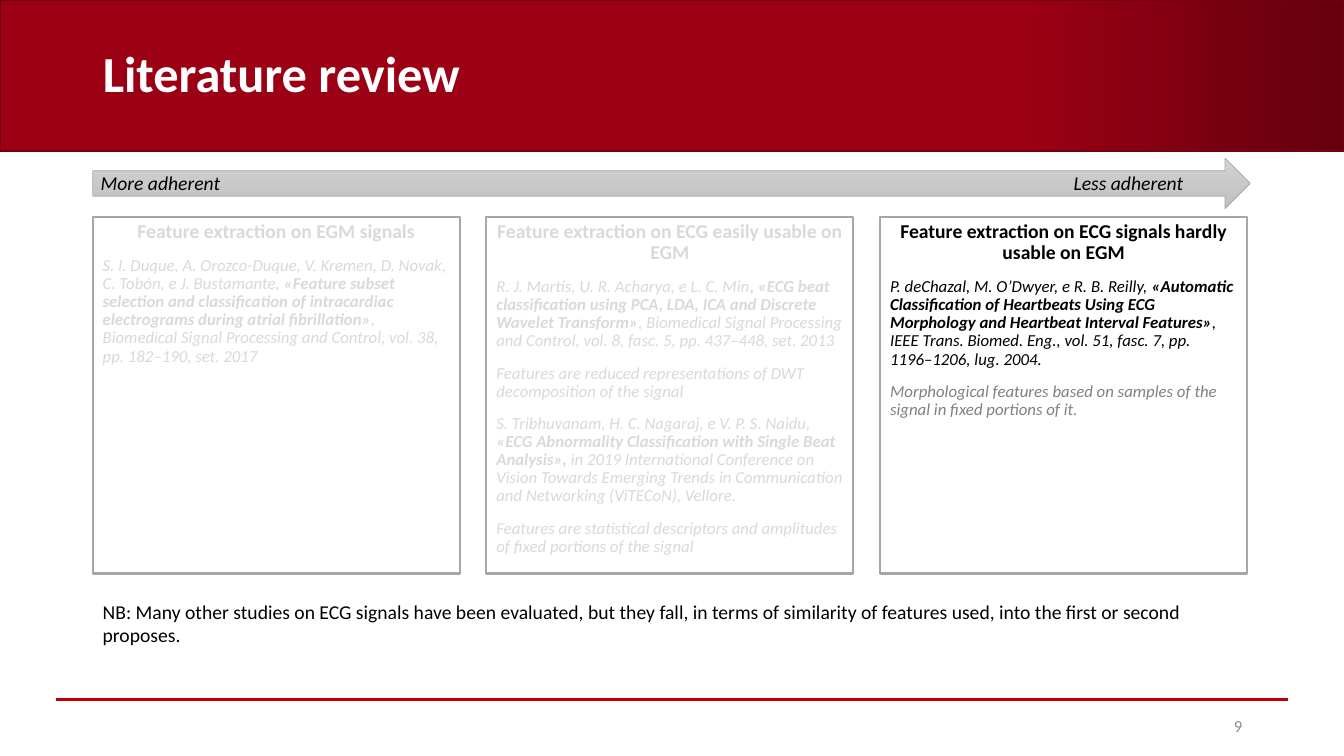
from dataclasses import dataclass

from pptx import Presentation
from pptx.dml.color import RGBColor
from pptx.enum.shapes import MSO_CONNECTOR, MSO_SHAPE
from pptx.enum.text import MSO_ANCHOR, MSO_AUTO_SIZE, PP_ALIGN
from pptx.oxml.ns import qn
from pptx.shapes.autoshape import Shape
from pptx.slide import Slide
from pptx.text.text import TextFrame
from pptx.util import Inches, Pt
from lxml.etree import SubElement

FONT = "Calibri"
WHITE = RGBColor(0xFF, 0xFF, 0xFF)
BLACK = RGBColor(0x00, 0x00, 0x00)
RED = RGBColor(0x9B, 0x00, 0x14)
DARK_RED = RGBColor(0x64, 0x00, 0x0C)
BANNER_BORDER = RGBColor(0x73, 0x00, 0x0F)
FOOTER_RED = RGBColor(0xC0, 0x00, 0x00)
FADED = RGBColor(0xD9, 0xD9, 0xD9)
BOX_BORDER = RGBColor(0xA6, 0xA6, 0xA6)
NOTE_GRAY = RGBColor(0x80, 0x80, 0x80)
NUMBER_GRAY = RGBColor(0x8C, 0x8C, 0x8C)
ARROW_LIGHT = RGBColor(0xD2, 0xD2, 0xD2)
ARROW_DARK = RGBColor(0xC0, 0xC0, 0xC0)
ARROW_BORDER = RGBColor(0xA5, 0xA5, 0xA5)

LEFT, RIGHT = 0.92, 12.37
COLUMN_TOP, COLUMN_WIDTH, COLUMN_HEIGHT = 2.15, 3.64, 3.54


@dataclass
class Entry:
    """A paragraph made of plain, bold and plain text."""
    before: str
    bold: str = ""
    after: str = ""
    color: RGBColor = FADED


@dataclass
class Column:
    heading: str
    color: RGBColor
    entries: list[Entry]


@dataclass
class Label:
    text: str
    left: float
    top: float
    width: float
    height: float
    size: int = 14
    color: RGBColor = BLACK
    italic: bool = False
    alignment: PP_ALIGN = PP_ALIGN.LEFT
    anchor: MSO_ANCHOR = MSO_ANCHOR.TOP


COLUMNS = [
    Column("Feature extraction on EGM signals", FADED, [
        Entry("S. I. Duque, A. Orozco-Duque, V. Kremen, D. Novak, C. Tobón, e J. Bustamante, ",
              "«Feature subset selection and classification of intracardiac electrograms "
              "during atrial fibrillation»",
              ", Biomedical Signal Processing and Control, vol. 38, pp. 182–190, set. 2017"),
    ]),
    Column("Feature extraction on ECG easily usable on EGM", FADED, [
        Entry("R. J. Martis, U. R. Acharya, e L. C. Min",
              ", «ECG beat classification using PCA, LDA, ICA and Discrete Wavelet Transform»",
              ", Biomedical Signal Processing and Control, vol. 8, fasc. 5, pp. 437–448, set. 2013"),
        Entry("Features are reduced representations of DWT decomposition of the signal"),
        Entry("S. Tribhuvanam, H. C. Nagaraj, e V. P. S. Naidu, ",
              "«ECG Abnormality Classification with Single Beat Analysis», ",
              "in 2019 International Conference on Vision Towards Emerging Trends in "
              "Communication and Networking (ViTECoN), Vellore."),
        Entry("Features are statistical descriptors and amplitudes of fixed portions of the signal"),
    ]),
    Column("Feature extraction on ECG signals hardly usable on EGM", BLACK, [
        Entry("P. deChazal, M. O’Dwyer, e R. B. Reilly, ",
              "«Automatic Classification of Heartbeats Using ECG Morphology and "
              "Heartbeat Interval Features»",
              ", IEEE Trans. Biomed. Eng., vol. 51, fasc. 7, pp. 1196–1206, lug. 2004.", BLACK),
        Entry("Morphological features based on samples of the signal in fixed portions of it.",
              color=NOTE_GRAY),
    ]),
]

LABELS = [
    Label("More adherent", 0.9, 1.65, 2.87, 0.42, italic=True),
    Label("Less adherent", 10.55, 1.65, 1.8, 0.42, italic=True),
    Label("NB: Many other studies on ECG signals have been evaluated, but they fall, in terms of "
          "similarity of features used, into the first or second proposes.",
          LEFT, 5.9, 11.46, 0.57),
    Label("9", 9.42, 7, 3, 0.4, 12, NUMBER_GRAY, alignment=PP_ALIGN.RIGHT,
          anchor=MSO_ANCHOR.MIDDLE),
]


def add_box(slide: Slide, kind: MSO_SHAPE, left: float, top: float, width: float,
            height: float, border: RGBColor, border_width: float) -> Shape:
    shape = slide.shapes.add_shape(kind, Inches(left), Inches(top), Inches(width), Inches(height))
    shape.shadow.inherit = False
    shape.fill.background()
    shape.line.color.rgb = border
    shape.line.width = Pt(border_width)
    return shape


def fill_gradient(shape: Shape, angle: float, stops: list[tuple[float, RGBColor]]) -> None:
    shape.fill.gradient()
    shape.fill.gradient_angle = angle
    for stop, (position, color) in zip(shape.fill.gradient_stops, stops):
        stop.position = position
        stop.color.rgb = color


def add_entry(frame: TextFrame, entry: Entry) -> None:
    paragraph = frame.add_paragraph()
    paragraph.alignment = PP_ALIGN.LEFT
    paragraph.line_spacing = 0.9
    paragraph.space_before = Pt(10)
    font = paragraph.font
    font.name, font.size, font.italic = FONT, Pt(12), True
    font.color.rgb = entry.color
    for text, bold in ((entry.before, False), (entry.bold, True), (entry.after, False)):
        if text:
            run = paragraph.add_run()
            run.text = text
            run.font.bold = bold


def add_column(slide: Slide, column: Column, left: float) -> None:
    box = add_box(slide, MSO_SHAPE.RECTANGLE, left, COLUMN_TOP, COLUMN_WIDTH, COLUMN_HEIGHT,
                  BOX_BORDER, 1.5)
    frame = box.text_frame
    frame.word_wrap = True
    frame.vertical_anchor = MSO_ANCHOR.TOP
    heading = frame.paragraphs[0]
    heading.text = column.heading
    heading.alignment = PP_ALIGN.CENTER
    heading.line_spacing = 0.9
    heading.space_before = Pt(10)
    font = heading.font
    font.name, font.size, font.bold = FONT, Pt(14), True
    font.color.rgb = column.color
    for entry in column.entries:
        add_entry(frame, entry)


def add_label(slide: Slide, label: Label) -> None:
    box = slide.shapes.add_textbox(Inches(label.left), Inches(label.top),
                                   Inches(label.width), Inches(label.height))
    frame = box.text_frame
    frame.word_wrap = True
    frame.vertical_anchor = label.anchor
    paragraph = frame.paragraphs[0]
    paragraph.text = label.text
    paragraph.alignment = label.alignment
    font = paragraph.font
    font.name, font.size, font.italic = FONT, Pt(label.size), label.italic
    font.color.rgb = label.color


def add_title(slide: Slide, text: str) -> None:
    title = slide.shapes.title
    title.left, title.top = Inches(LEFT), Inches(0.23)
    title.width, title.height = Inches(10.83), Inches(1.06)
    frame = title.text_frame
    frame.auto_size = MSO_AUTO_SIZE.NONE
    frame.vertical_anchor = MSO_ANCHOR.MIDDLE
    paragraph = frame.paragraphs[0]
    paragraph.text = text
    paragraph.alignment = PP_ALIGN.LEFT
    paragraph.line_spacing = 0.9
    font = paragraph.font
    font.name, font.size, font.bold = FONT, Pt(36), True
    font.color.rgb = WHITE


def main() -> None:
    presentation = Presentation()
    presentation.slide_width, presentation.slide_height = Inches(13.33), Inches(7.5)
    slide = presentation.slides.add_slide(presentation.slide_layouts[5])

    # Banner, placed behind the title
    banner = add_box(slide, MSO_SHAPE.RECTANGLE, 0, 0, 13.33, 1.5, BANNER_BORDER, 1)
    fill_gradient(banner, 0, [(0.76, RED), (1, DARK_RED)])
    slide.shapes.title.element.addprevious(banner.element)
    add_title(slide, "Literature review")

    # Footer rule
    rule = slide.shapes.add_connector(MSO_CONNECTOR.STRAIGHT, Inches(0.56), Inches(6.94),
                                      Inches(12.77), Inches(6.94))
    rule.line.color.rgb = FOOTER_RED
    rule.line.width = Pt(1.5)
    SubElement(rule.element.spPr, qn("a:effectLst"))

    # Adherence arrow and literature columns
    arrow = add_box(slide, MSO_SHAPE.RIGHT_ARROW, LEFT, 1.57, 11.48, 0.5, ARROW_BORDER, 0.5)
    fill_gradient(arrow, 270, [(0, ARROW_LIGHT), (1, ARROW_DARK)])
    pitch = (RIGHT - LEFT - COLUMN_WIDTH) / (len(COLUMNS) - 1)
    for index, column in enumerate(COLUMNS):
        add_column(slide, column, LEFT + index * pitch)

    # Arrow labels, note and page number
    for label in LABELS:
        add_label(slide, label)

    presentation.save("out.pptx")


if __name__ == "__main__":
    main()
